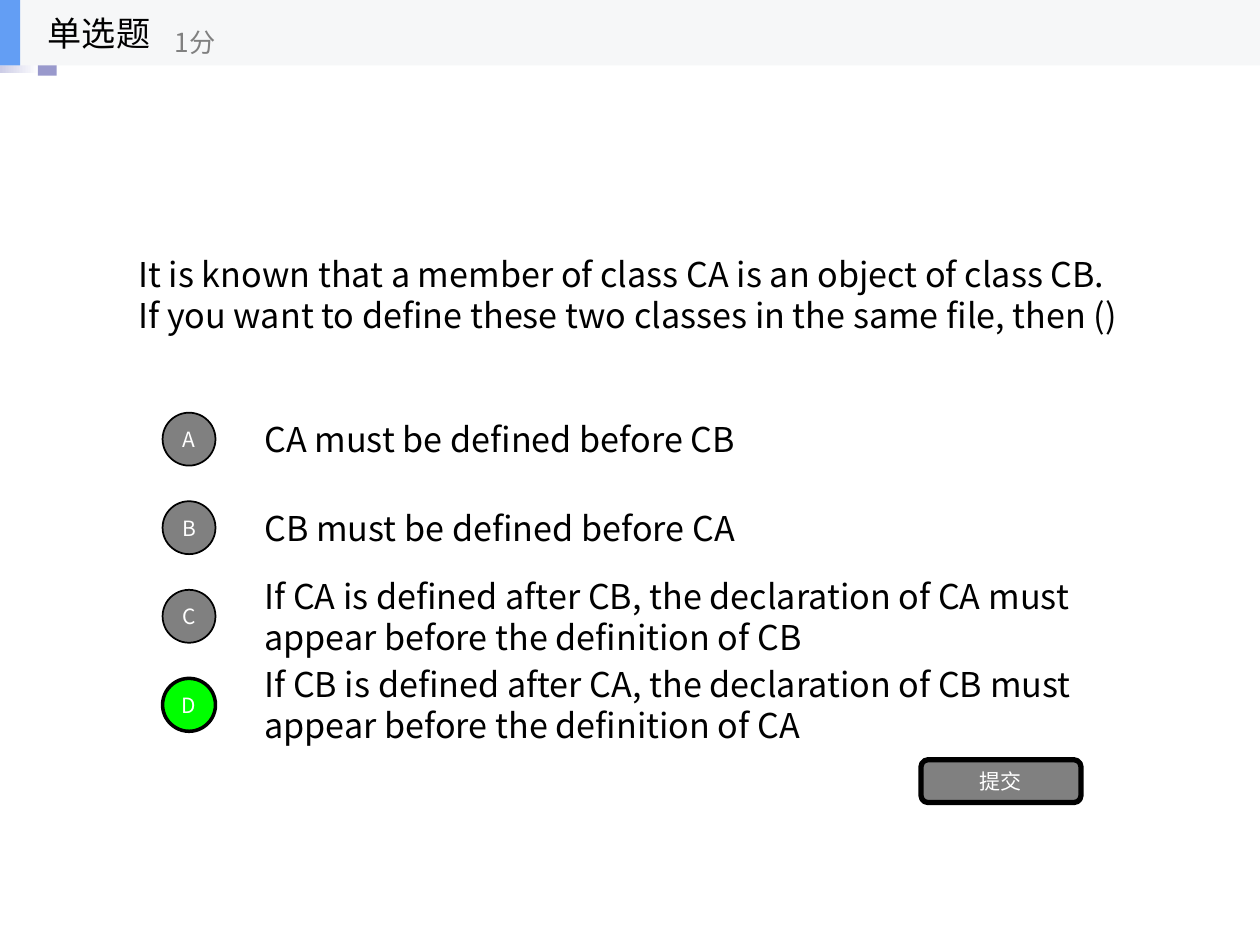
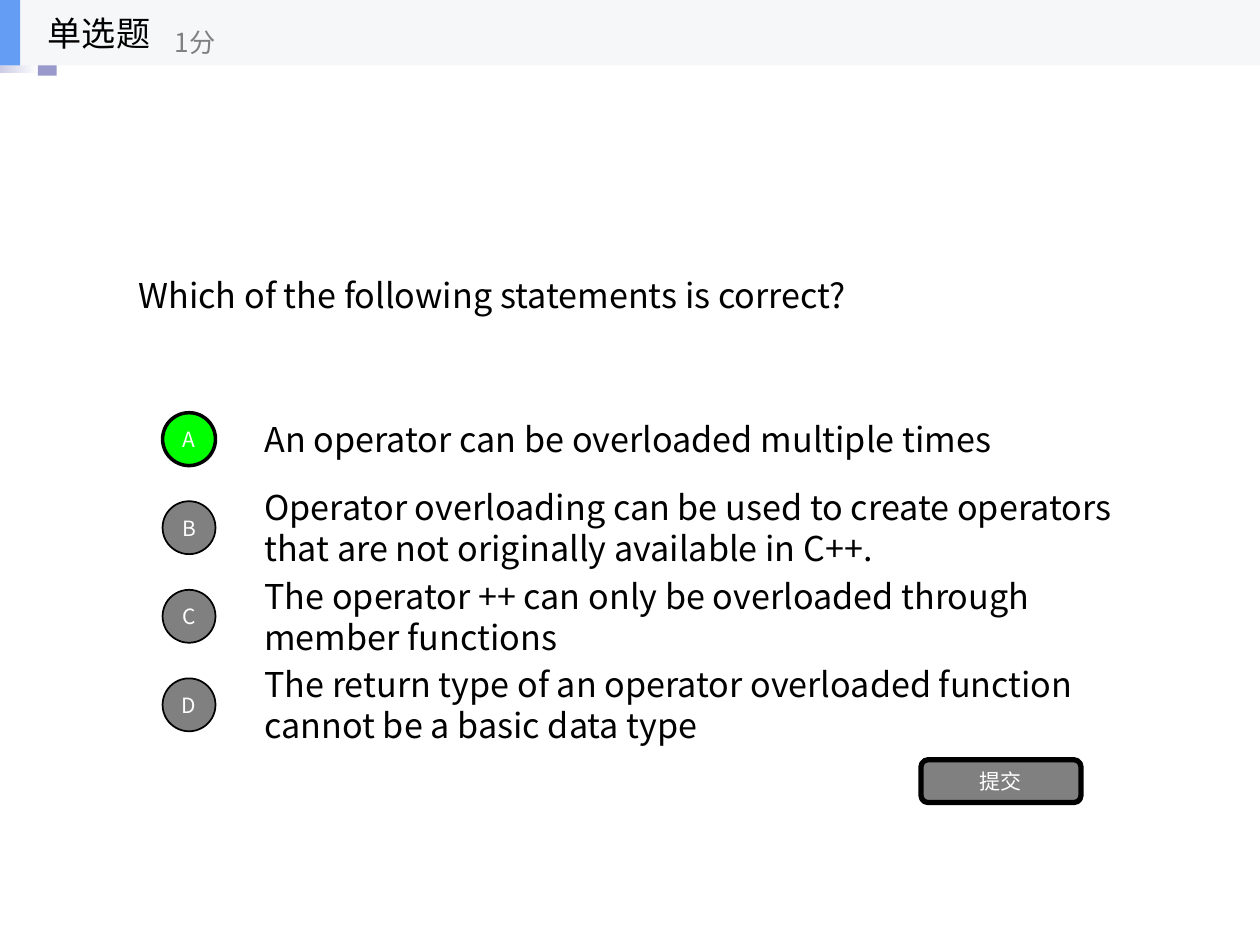
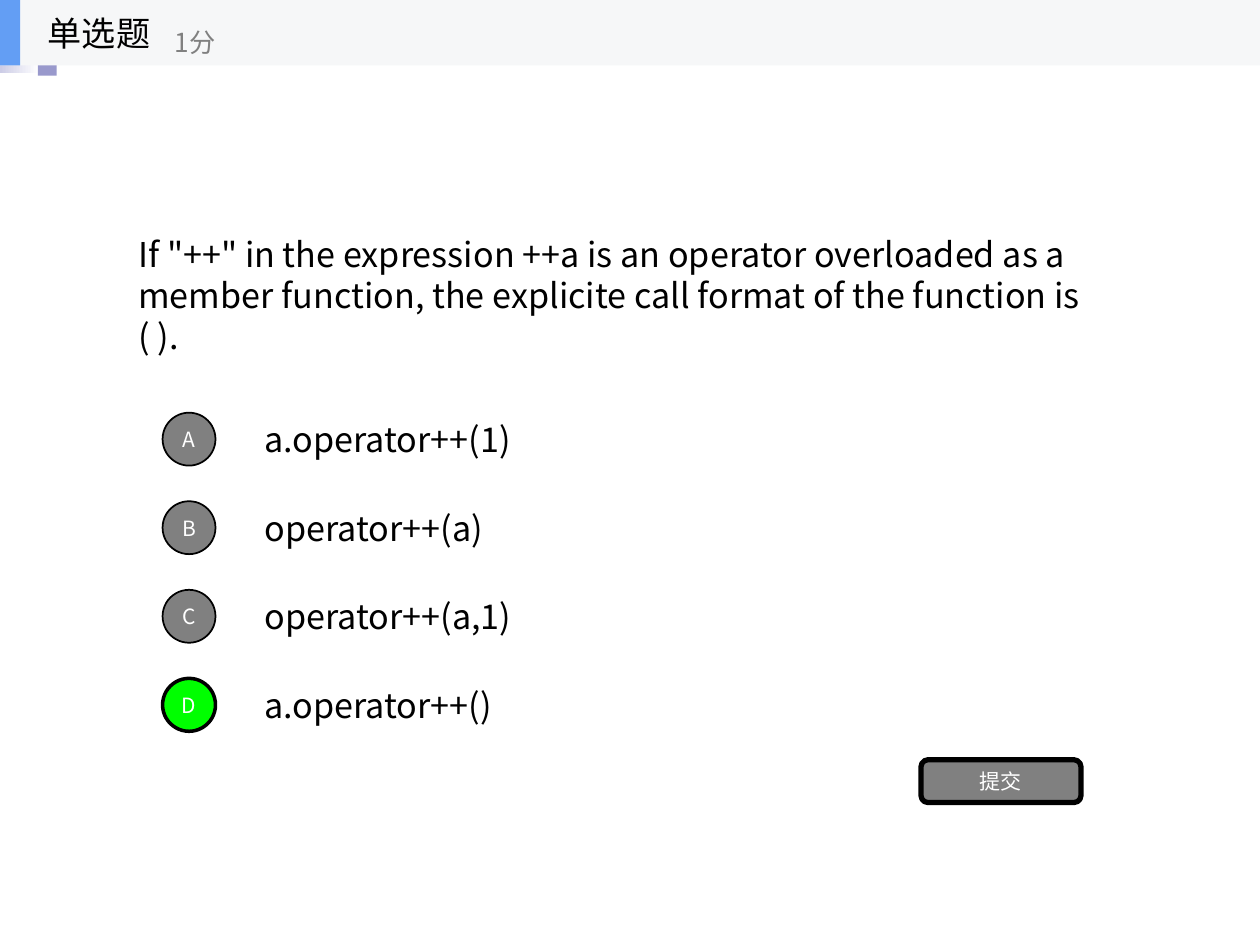
from lxml import etree
from pptx import Presentation
from pptx.dml.color import RGBColor
from pptx.enum.shapes import MSO_SHAPE
from pptx.enum.text import MSO_ANCHOR, PP_ALIGN
from pptx.oxml.ns import qn
from pptx.util import Inches, Pt

RECTANGLE = MSO_SHAPE.RECTANGLE
ROUNDED = MSO_SHAPE.ROUNDED_RECTANGLE
OVAL = MSO_SHAPE.OVAL
MIDDLE = MSO_ANCHOR.MIDDLE
LEFT, CENTER = PP_ALIGN.LEFT, PP_ALIGN.CENTER

FONT = "Noto Sans CJK SC"
BLACK, WHITE, GRAY, GREEN = "000000", "FFFFFF", "808080", "00FF00"
BAND, ACCENT = "F6F7F8", "639EF4"
LAVENDER, VIOLET = "CCCCE6", "9999CC"

# Grid of the slide and the rows of the answer list
COLUMNS, ROWS = 100, 75
BAND_HEIGHT = 5.2
FIRST_OPTION, OPTION_PITCH, OPTION_HEIGHT = 32.2, 7.03, 5.3
BUBBLE = 4.2
BODY_SIZE, BODY_LEADING = 19.5, 23.4

QUESTIONS = [
    ("It is known that a member of class CA is an object of class CB. "
     "If you want to define these two classes in the same file, then ()",
     ["CA must be defined before CB",
      "CB must be defined before CA",
      "If CA is defined after CB, the declaration of CA must appear before the definition of CB",
      "If CB is defined after CA, the declaration of CB must appear before the definition of CA"],
     "D"),
    ("Which of the following statements is correct?",
     ["An operator can be overloaded multiple times",
      "Operator overloading can be used to create operators that are not originally available in C++.",
      "The operator ++ can only be overloaded through member functions",
      "The return type of an operator overloaded function cannot be a basic data type"],
     "A"),
    ('If "++" in the expression ++a is an operator overloaded as a member function, '
     "the explicite call format of the function is ( ).",
     ["a.operator++(1)", "operator++(a)", "operator++(a,1)", "a.operator++()"],
     "D"),
]


def color(value):
    return RGBColor.from_string(value)


class Quiz:
    """Holds the deck, its style and the current page."""

    def __init__(self):
        self.deck = Presentation()
        self.deck.slide_width, self.deck.slide_height = Inches(10), Inches(7.5)
        self.page = None

    def new_page(self):
        self.page = self.deck.slides.add_slide(self.deck.slide_layouts[6])

    def place(self, left, top, width, height):
        column = self.deck.slide_width / COLUMNS
        row = self.deck.slide_height / ROWS
        return [round(left * column), round(top * row),
                round(width * column), round(height * row)]

    def fill_text(self, box, text, size, ink, align=LEFT, leading=None):
        frame = box.text_frame
        frame.word_wrap = True
        frame.vertical_anchor = MIDDLE
        para = frame.paragraphs[0]
        para.text = text
        para.alignment = align
        if leading:
            para.line_spacing = Pt(leading)
        font = para.font
        font.size, font.name = Pt(size), FONT
        font.color.rgb = color(ink)
        # Chinese characters take their font from a separate element
        properties = para._p.get_or_add_pPr().find(qn("a:defRPr"))
        etree.SubElement(properties, qn("a:ea")).set("typeface", FONT)

    def text(self, area, text, size=BODY_SIZE, ink=BLACK, leading=None):
        box = self.page.shapes.add_textbox(*self.place(*area))
        self.fill_text(box, text, size, ink, leading=leading)

    def shape(self, kind, area, fill, border=0):
        shape = self.page.shapes.add_shape(kind, *self.place(*area))
        shape.shadow.inherit = False
        shape.fill.solid()
        shape.fill.fore_color.rgb = color(fill)
        if border:
            shape.line.color.rgb = color(BLACK)
            shape.line.width = Pt(border)
        else:
            shape.line.fill.background()
        return shape

    def fade(self, area, start, end):
        shape = self.shape(RECTANGLE, area, start)
        shape.fill.gradient()
        shape.fill.gradient_angle = 0
        for stop, value, position in zip(shape.fill.gradient_stops, (start, end), (0, 1)):
            stop.color.rgb = color(value)
            stop.position = position

    def button(self, kind, area, label, fill, border):
        shape = self.shape(kind, area, fill, border)
        frame = shape.text_frame
        frame.margin_left = frame.margin_right = 0
        frame.margin_top = frame.margin_bottom = 0
        self.fill_text(shape, label, 12, WHITE, CENTER)

    def header(self):
        # Corner ornament, partly under the band
        self.fade((0, 0, 3.1, 5.8), LAVENDER, WHITE)
        self.shape(RECTANGLE, (3, 4.5, 1.5, 1.5), VIOLET)
        # Title band
        self.shape(RECTANGLE, (0, 0, COLUMNS, BAND_HEIGHT), BAND)
        self.shape(RECTANGLE, (0, 0, 1.6, BAND_HEIGHT), ACCENT)
        self.text((2.8, 0, 15.6, BAND_HEIGHT), "单选题")
        self.text((12.9, 1.2, 18.8, 4.2), "1分", 15, GRAY)

    def option(self, index, letter, text, correct):
        top = FIRST_OPTION + index * OPTION_PITCH
        self.text((20, top, 70, OPTION_HEIGHT), text, leading=BODY_LEADING)
        bubble_top = top + (OPTION_HEIGHT - BUBBLE) / 2
        fill, border = (GREEN, 2) if correct else (GRAY, 1)
        self.button(OVAL, (12.9, bubble_top, BUBBLE, BUBBLE), letter, fill, border)

    def question(self, prompt, options, answer):
        self.new_page()
        self.header()
        self.text((10, 14.6, 80, 17.6), prompt, leading=BODY_LEADING)
        for index, (letter, text) in enumerate(zip("ABCD", options)):
            self.option(index, letter, text, letter == answer)
        self.button(ROUNDED, (73.1, 60.3, 12.7, 3.4), "提交", GRAY, 3)


def main():
    quiz = Quiz()
    for prompt, options, answer in QUESTIONS:
        quiz.question(prompt, options, answer)
    quiz.deck.save("out.pptx")


if __name__ == "__main__":
    main()
